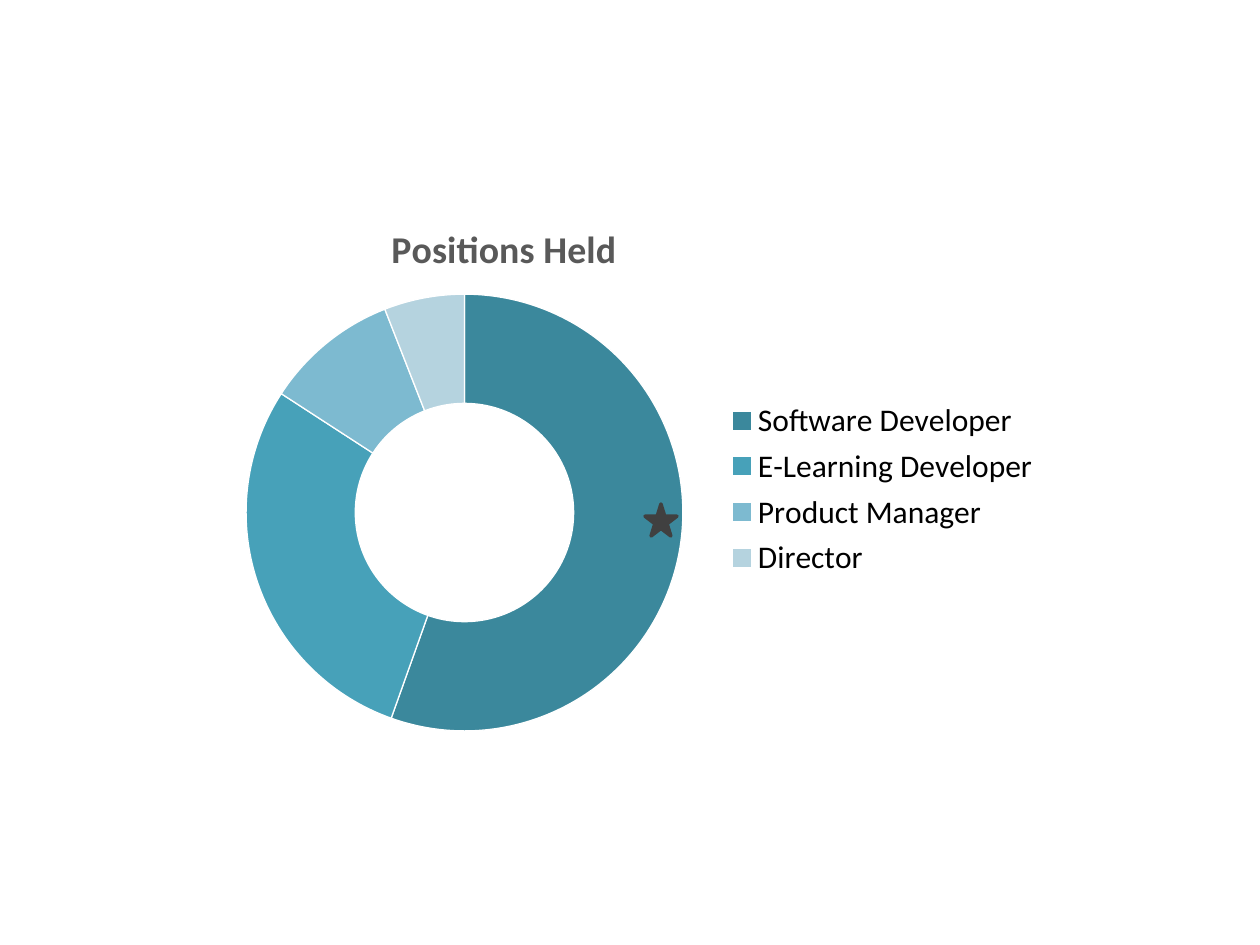
from dataclasses import dataclass
from typing import Any

from lxml import etree
from pptx import Presentation
from pptx import util as u
from pptx.chart.data import CategoryChartData
from pptx.dml.color import RGBColor
from pptx.enum import chart as chart_enum, shapes
from pptx.oxml.ns import qn

PIXEL = u.Inches(1) // 126
COLOURS = {"title": "595959", "text": "000000", "star": "404040", "gap": "FFFFFF"}


@dataclass
class Box:
    left: int
    top: int
    width: int
    height: int

    def emu(self) -> list[int]:
        return [side * PIXEL for side in (self.left, self.top, self.width, self.height)]


@dataclass
class Position:
    name: str
    value: int
    colour: str


POSITIONS = [
    Position("Software Developer", 56, "3B889C"),
    Position("E-Learning Developer", 29, "47A1B9"),
    Position("Product Manager", 10, "7DBAD0"),
    Position("Director", 6, "B5D3DF"),
]
CHART = Box(210, 189, 840, 559)
TITLE = Box(385, 215, 223, 40)
RING = Box(246, 294, 437, 437)
LEGEND = Box(725, 394, 315, 190)
STAR = Box(645, 504, 32, 32)


def set_font(font: Any, colour: str, **formats: Any) -> None:
    for name, value in {"name": "Calibri", **formats}.items():
        setattr(font, name, value)
    font.color.rgb = RGBColor.from_string(colour)


def paint(part: Any, fill: str, line: str, width: float) -> None:
    part.fill.solid()
    part.fill.fore_color.rgb = RGBColor.from_string(fill)
    part.line.color.rgb = RGBColor.from_string(line)
    part.line.width = u.Pt(width)


def place(element: Any, box: Box, index: int, inner: bool = False, sized: bool = True) -> None:
    """Put a chart part at a fixed place, as fractions of the chart."""
    for old in element.findall(qn("c:layout")):
        element.remove(old)
    layout = etree.Element(qn("c:layout"))
    manual = etree.SubElement(layout, qn("c:manualLayout"))
    values = {"xMode": "edge", "yMode": "edge",
              "x": (box.left - CHART.left) / CHART.width,
              "y": (box.top - CHART.top) / CHART.height}
    if inner:
        values = {"layoutTarget": "inner", **values}
    if sized:
        values |= {"w": box.width / CHART.width, "h": box.height / CHART.height}
    for tag, value in values.items():
        text = value if isinstance(value, str) else f"{value:.3f}"
        etree.SubElement(manual, qn(f"c:{tag}")).set("val", text)
    element.insert(index, layout)


def add_positions_chart(slide: Any) -> None:
    data = CategoryChartData()
    data.categories = [position.name for position in POSITIONS]
    data.add_series("Series 1", [position.value for position in POSITIONS])
    chart = slide.shapes.add_chart(
        chart_enum.XL_CHART_TYPE.DOUGHNUT, *CHART.emu(), data).chart
    set_font(chart.font, COLOURS["text"], size=u.Pt(18))

    # Title
    chart.has_title = True
    paragraph = chart.chart_title.text_frame.paragraphs[0]
    run = paragraph.add_run()
    run.text = "Positions Held"
    set_font(run.font, COLOURS["title"], size=u.Pt(21.6), bold=True)
    chart.chart_title.include_in_layout = False
    place(chart.chart_title._element, TITLE, 1, sized=False)

    # Legend
    chart.has_legend = True
    chart.legend.position = chart_enum.XL_LEGEND_POSITION.RIGHT
    chart.legend.include_in_layout = False
    set_font(chart.legend.font, COLOURS["text"], size=u.Pt(18))
    place(chart.legend._element, LEGEND, 1)

    # Ring
    plot = chart.plots[0]
    plot.vary_by_categories = True
    plot._element.find(qn("c:holeSize")).set("val", "50")
    place(plot._element.getparent(), RING, 0, inner=True)
    for index, position in enumerate(POSITIONS):
        paint(plot.series[0].points[index].format, position.colour, COLOURS["gap"], 0.75)


def add_star(slide: Any) -> None:
    star = slide.shapes.add_shape(shapes.MSO_SHAPE.STAR_5_POINT, *STAR.emu())
    star.shadow.inherit = False
    paint(star, COLOURS["star"], COLOURS["star"], 2)


presentation = Presentation()
presentation.slide_width, presentation.slide_height = 1260 * PIXEL, 945 * PIXEL
slide = presentation.slides.add_slide(presentation.slide_layouts[6])
add_positions_chart(slide)
add_star(slide)
presentation.save("out.pptx")
